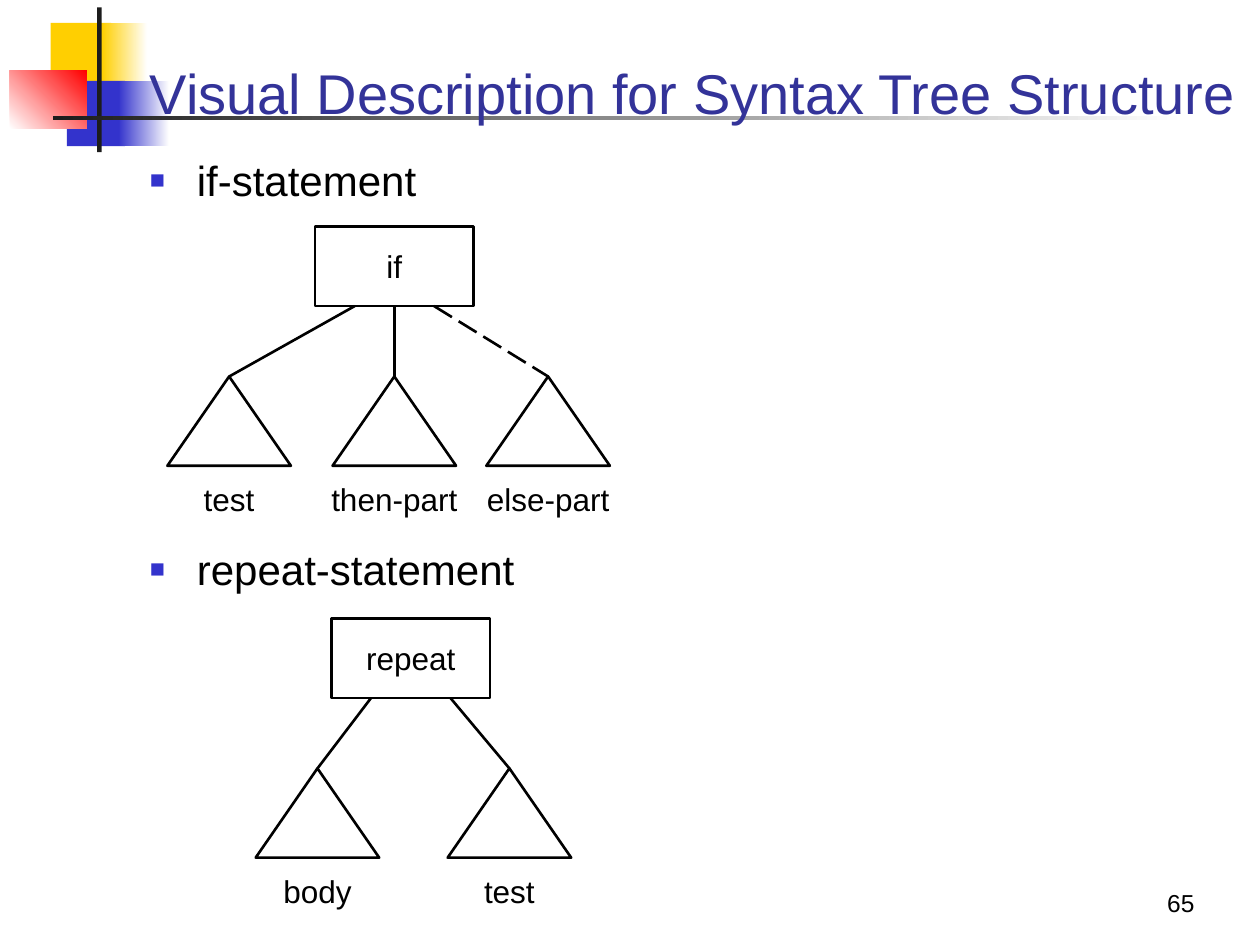
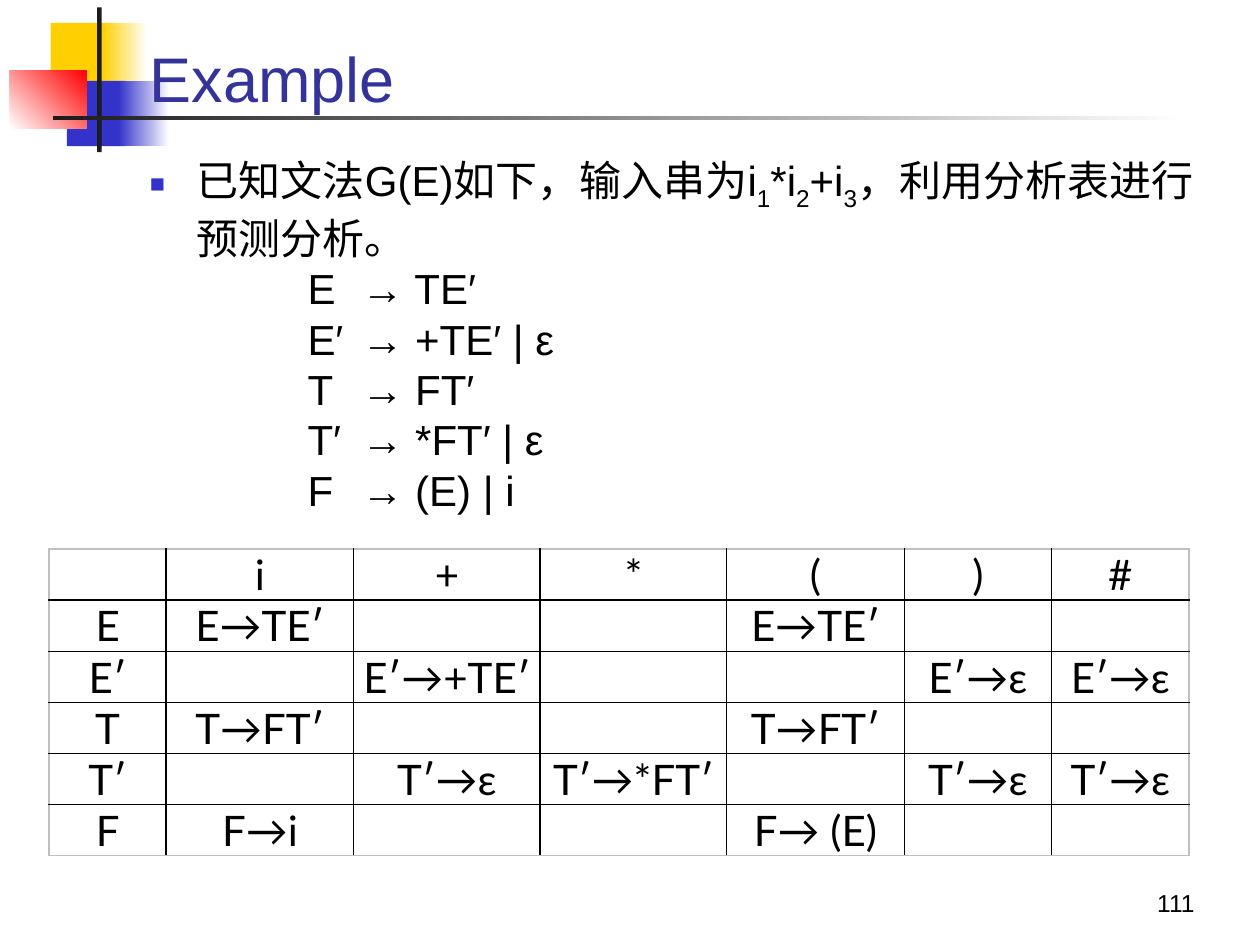
from pptx import Presentation
from pptx.dml.color import RGBColor
from pptx.enum.dml import MSO_LINE
from pptx.enum.shapes import MSO_CONNECTOR, MSO_SHAPE
from pptx.enum.text import MSO_ANCHOR, PP_ALIGN
from pptx.oxml.ns import qn
from pptx.util import Cm, Pt
from lxml import etree

RECTANGLE = MSO_SHAPE.RECTANGLE
TRIANGLE = MSO_SHAPE.ISOSCELES_TRIANGLE
STRAIGHT = MSO_CONNECTOR.STRAIGHT
LONG_DASH = MSO_LINE.LONG_DASH
LEFT, CENTER, RIGHT = PP_ALIGN.LEFT, PP_ALIGN.CENTER, PP_ALIGN.RIGHT
TOP, MIDDLE, BOTTOM = MSO_ANCHOR.TOP, MSO_ANCHOR.MIDDLE, MSO_ANCHOR.BOTTOM

BLACK = RGBColor(0x00, 0x00, 0x00)
WHITE = RGBColor(0xFF, 0xFF, 0xFF)
CHARCOAL = RGBColor(0x1C, 0x1C, 0x1C)
GREY = RGBColor(0xBF, 0xBF, 0xBF)
YELLOW = RGBColor(0xFF, 0xCF, 0x01)
BLUE = RGBColor(0x33, 0x33, 0xCC)
RED = RGBColor(0xFF, 0x00, 0x00)
TITLE_BLUE = RGBColor(0x33, 0x33, 0x99)

BODY_FONT = "Arial"
TABLE_FONT = "Lato"
LINE_WIDTH = Pt(1.5)

DECORATION = [
    (1.02, 0.46, 1.22, 1.32, YELLOW, None, 0),
    (2.06, 0.46, 0.91, 1.32, YELLOW, WHITE, 0),
    (1.35, 1.63, 1.17, 1.32, BLUE, None, 0),
    (2.39, 1.63, 1.02, 1.32, BLUE, WHITE, 0),
    (0.2, 1.42, 1.55, 1.17, WHITE, RED, 45),
    (1.96, 0.15, 0.09, 2.92, CHARCOAL, None, 0),
    (1.07, 2.34, 22.86, 0.09, CHARCOAL, WHITE, 0),
]

NODE_WIDTH, NODE_HEIGHT = 3.2, 1.6
TRIANGLE_WIDTH, TRIANGLE_HEIGHT = 2.49, 1.8
TRIANGLE_DROP, LABEL_DROP = 3.02, 4.98
LABEL_WIDTH, LABEL_HEIGHT = 3.05, 1.02

GRAMMAR = [
    "E\t→ TE′",
    "E′\t→ +TE′ | ε",
    "T\t→ FT′",
    "T′\t→ *FT′ | ε",
    "F\t→ (E) | i",
]
COLUMN_WIDTHS = [2.36, 3.78, 3.76, 3.76, 3.58, 2.97, 2.77]
ROW_HEIGHT = 1.03
PARSING_TABLE = [
    ["", "i", "+", "*", "(", ")", "#"],
    ["E", "E→TE′", "", "", "E→TE′", "", ""],
    ["E′", "", "E′→+TE′", "", "", "E′→ε", "E′→ε"],
    ["T", "T→FT′", "", "", "T→FT′", "", ""],
    ["T′", "", "T′→ε", "T′→*FT′", "", "T′→ε", "T′→ε"],
    ["F", "F→i", "", "", "F→ (E)", "", ""],
]


def format_paragraph(paragraph, size, color=BLACK, font=BODY_FONT, align=LEFT):
    paragraph.alignment = align
    for run in paragraph.runs:
        run.font.name = font
        run.font.size = Pt(size)
        run.font.color.rgb = color


def add_text(slide, left, top, width, height, text, size, color=BLACK,
             align=LEFT, anchor=TOP, wrap=True):
    box = slide.shapes.add_textbox(Cm(left), Cm(top), Cm(width), Cm(height))
    frame = box.text_frame
    frame.word_wrap = wrap
    frame.vertical_anchor = anchor
    frame.text = text
    for paragraph in frame.paragraphs:
        format_paragraph(paragraph, size, color, align=align)
    return frame


def add_shape(slide, kind, left, top, width, height):
    shape = slide.shapes.add_shape(kind, Cm(left), Cm(top), Cm(width), Cm(height))
    shape.shadow.inherit = False
    return shape


def add_decoration(slide):
    for left, top, width, height, start, end, angle in DECORATION:
        shape = add_shape(slide, RECTANGLE, left, top, width, height)
        shape.line.fill.background()
        if end is None:
            shape.fill.solid()
            shape.fill.fore_color.rgb = start
        else:
            shape.fill.gradient()
            shape.fill.gradient_angle = angle
            for stop, color in zip(shape.fill.gradient_stops, (start, end)):
                stop.color.rgb = color


def add_base_slide(presentation, title, title_size, title_width, title_height, number):
    slide = presentation.slides.add_slide(presentation.slide_layouts[6])
    add_decoration(slide)
    frame = add_text(slide, 2.77, 0.53, title_width, title_height, title,
                     title_size, TITLE_BLUE, anchor=BOTTOM)
    frame.paragraphs[0].line_spacing = 0.85
    add_text(slide, 19.05, 17.35, 5.28, 1.27, number, 14, align=RIGHT, anchor=BOTTOM)
    return slide


def add_body(slide, text):
    return add_text(slide, 2.77, 3, 21.59, 14.33, text, 24)


def set_hanging_indent(paragraph, start, text_start):
    properties = paragraph._p.get_or_add_pPr()
    properties.set("marL", str(Cm(text_start)))
    properties.set("indent", str(Cm(start) - Cm(text_start)))
    return properties


def add_bullet(paragraph, space_before):
    paragraph.space_before = Pt(space_before)
    properties = set_hanging_indent(paragraph, 0, 0.95)
    color = etree.SubElement(properties, qn("a:buClr"))
    etree.SubElement(color, qn("a:srgbClr"), val=str(BLUE))
    etree.SubElement(properties, qn("a:buSzPct"), val="60000")
    etree.SubElement(properties, qn("a:buFont"), typeface=BODY_FONT)
    etree.SubElement(properties, qn("a:buChar"), char="■")


def add_outline(slide, kind, left, top, width, height):
    shape = add_shape(slide, kind, left, top, width, height)
    shape.fill.background()
    shape.line.color.rgb = BLACK
    shape.line.width = LINE_WIDTH
    return shape


def add_branch(slide, node, fraction, triangle, dashed):
    start = node.left + int(node.width * fraction)
    connector = slide.shapes.add_connector(
        STRAIGHT, start, node.top + node.height, start, triangle.top)
    if fraction == 0.5:
        connector.begin_connect(node, 2)
    connector.end_connect(triangle, 0)
    connector.line.color.rgb = BLACK
    connector.line.width = LINE_WIDTH
    if dashed:
        connector.line.dash_style = LONG_DASH
    etree.SubElement(connector._element.spPr, qn("a:effectLst"))


def add_syntax_tree(slide, left, top, keyword, children):
    node = add_outline(slide, RECTANGLE, left, top, NODE_WIDTH, NODE_HEIGHT)
    node.text_frame.text = keyword
    node.text_frame.vertical_anchor = MIDDLE
    format_paragraph(node.text_frame.paragraphs[0], 18, align=CENTER)
    for label, apex, fraction, dashed in children:
        triangle = add_outline(slide, TRIANGLE, apex - TRIANGLE_WIDTH / 2,
                               top + TRIANGLE_DROP, TRIANGLE_WIDTH, TRIANGLE_HEIGHT)
        add_branch(slide, node, fraction, triangle, dashed)
        add_text(slide, apex - LABEL_WIDTH / 2, top + LABEL_DROP, LABEL_WIDTH,
                 LABEL_HEIGHT, label, 18, align=CENTER, wrap=False)


def set_borders(cell, colors):
    properties = cell._tc.get_or_add_tcPr()
    for side, color in zip(("L", "R", "T", "B"), colors):
        line = etree.SubElement(properties, qn(f"a:ln{side}"), w=str(Pt(1)))
        fill = etree.SubElement(line, qn("a:solidFill"))
        etree.SubElement(fill, qn("a:srgbClr"), val=str(color))


def add_parsing_table(slide, left, top, rows):
    last_row, last_column = len(rows) - 1, len(COLUMN_WIDTHS) - 1
    table = slide.shapes.add_table(
        len(rows), len(COLUMN_WIDTHS), Cm(left), Cm(top),
        Cm(sum(COLUMN_WIDTHS)), Cm(ROW_HEIGHT * len(rows))).table
    table.first_row = table.horz_banding = False
    for column, width in zip(table.columns, COLUMN_WIDTHS):
        column.width = Cm(width)
    for i, texts in enumerate(rows):
        table.rows[i].height = Cm(ROW_HEIGHT)
        for j, text in enumerate(texts):
            cell = table.cell(i, j)
            cell.margin_left = cell.margin_right = Cm(0.05)
            cell.margin_top = cell.margin_bottom = 0
            cell.vertical_anchor = MIDDLE
            outer = (j == 0, j == last_column, i == 0, i == last_row)
            set_borders(cell, [GREY if edge else BLACK for edge in outer])
            cell.fill.background()
            if text:
                cell.text_frame.text = text
                format_paragraph(cell.text_frame.paragraphs[0], 24,
                                 font=TABLE_FONT, align=CENTER)


def build_syntax_tree_slide(presentation):
    slide = add_base_slide(presentation, "Visual Description for Syntax Tree Structure",
                           32, 22.63, 2.13, "65")
    statements = add_body(slide, "if-statement\nrepeat-statement").paragraphs
    add_bullet(statements[0], 12)
    add_bullet(statements[1], 193)
    add_syntax_tree(slide, 6.35, 4.57, "if", [
        ("test", 4.62, 0.25, False),
        ("then-part", 7.95, 0.5, False),
        ("else-part", 11.05, 0.75, True),
    ])
    add_syntax_tree(slide, 6.68, 12.47, "repeat", [
        ("body", 6.4, 0.25, False),
        ("test", 10.27, 0.75, False),
    ])


def build_example_slide(presentation):
    slide = add_base_slide(presentation, "Example", 36, 21.64, 1.93, "111")
    frame = add_body(slide, "\n".join(["已知文法G(E)如下，输入串为i"] + GRAMMAR))
    question, *productions = frame.paragraphs
    for text in ("1", "*i", "2", "+i", "3", "，利用分析表进行预测分析。"):
        run = question.add_run()
        run.text = text
        if text.isdigit():
            run._r.get_or_add_rPr().set("baseline", "-25000")
    format_paragraph(question, 24)
    add_bullet(question, 12)
    for production in productions:
        set_hanging_indent(production, 3.18, 4.27)
    add_parsing_table(slide, 0.99, 11.07, PARSING_TABLE)


def main():
    presentation = Presentation()
    presentation.slide_width = Cm(25.4)
    presentation.slide_height = Cm(19.05)
    build_syntax_tree_slide(presentation)
    build_example_slide(presentation)
    presentation.save("out.pptx")


if __name__ == "__main__":
    main()
